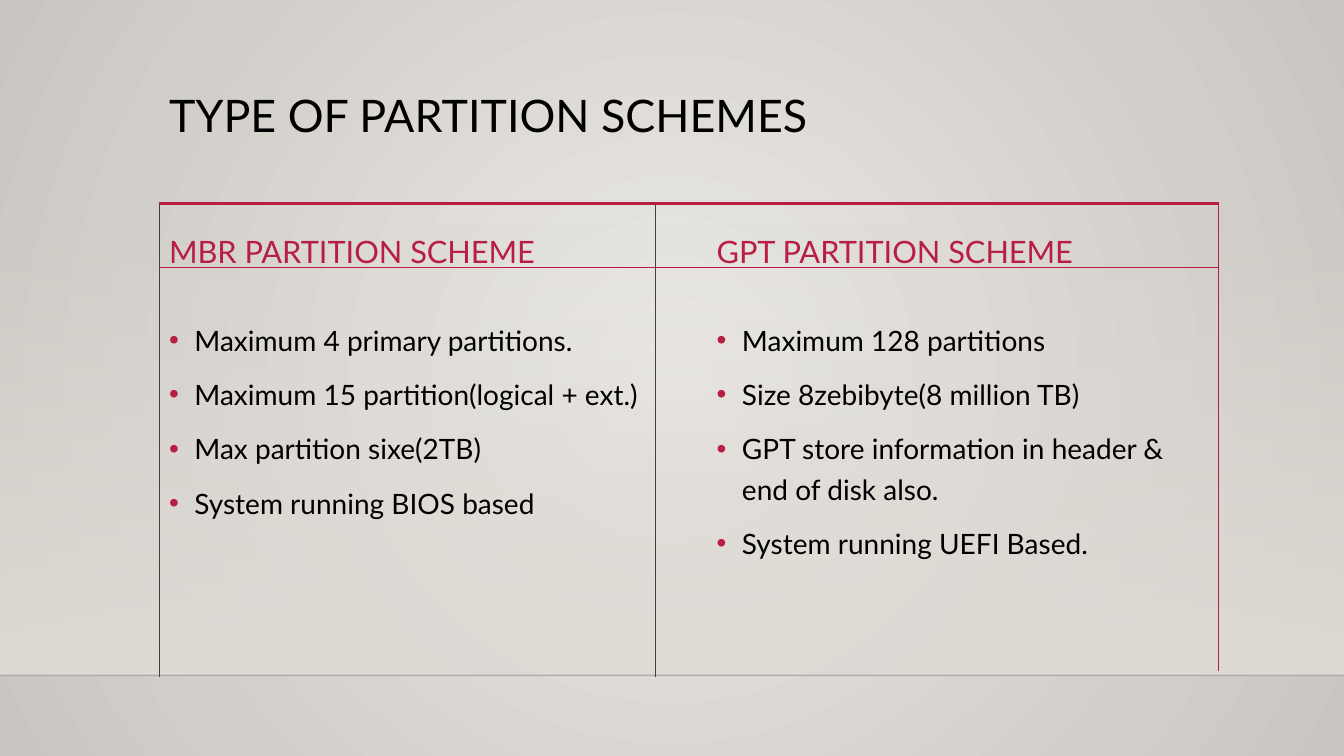
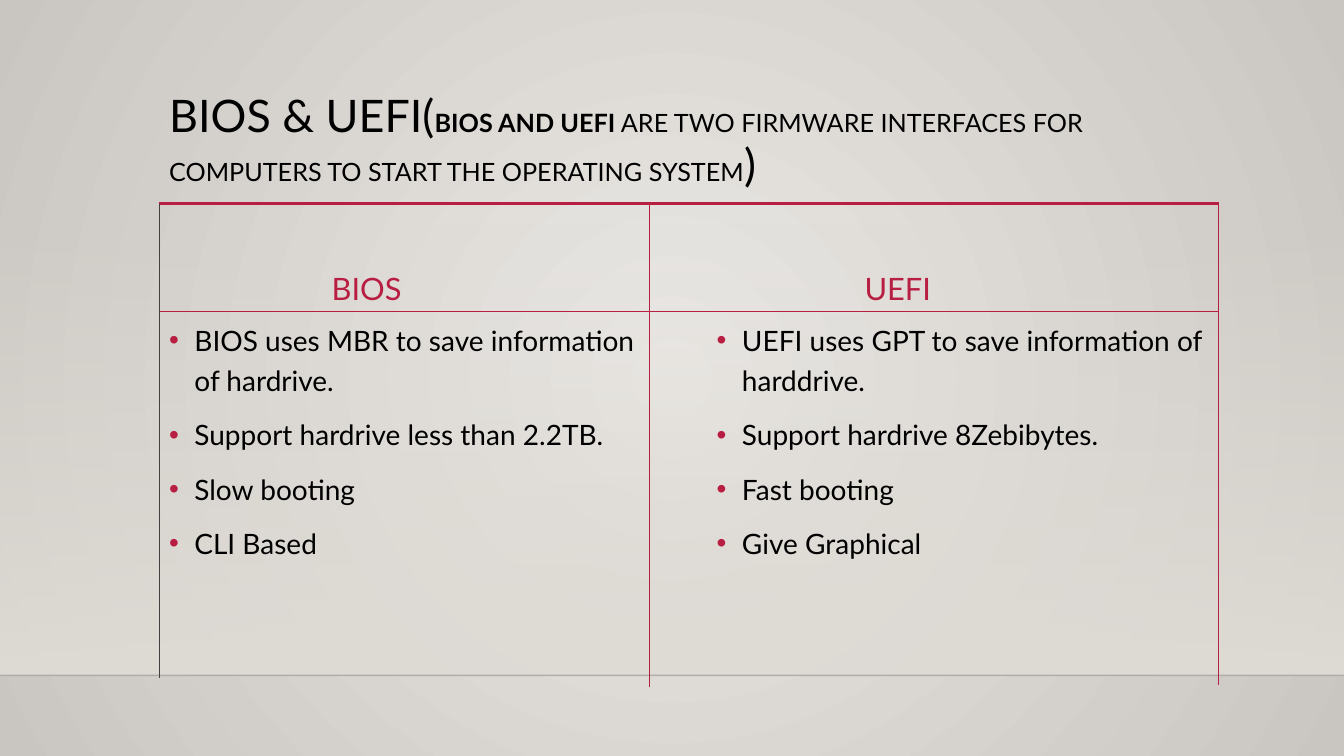
from lxml.etree import SubElement
from pptx import Presentation
from pptx.dml.color import RGBColor
from pptx.enum.shapes import MSO_CONNECTOR as CONNECTOR, MSO_SHAPE as SHAPE, PP_PLACEHOLDER as HOLDER
from pptx.enum.text import MSO_ANCHOR as ANCHOR, MSO_AUTO_SIZE as AUTO_SIZE, PP_ALIGN as ALIGN
from pptx.oxml.ns import qn
from pptx.util import Cm, Pt

FONT = "Lato"
BLACK = RGBColor(0x00, 0x00, 0x00)
CRIMSON = RGBColor(0xB7, 0x1E, 0x42)
CHARCOAL = RGBColor(0x40, 0x40, 0x40)
FLOOR_LINE = RGBColor(0x00, 0x00, 0x01)
PALE = RGBColor(0xEB, 0xE9, 0xE6)
STONE = RGBColor(0xC9, 0xC5, 0xC0)
SAND = RGBColor(0xDF, 0xDB, 0xD5)

PAGE_WIDTH, PAGE_HEIGHT = 33.87, 19.05
LEFT, RIGHT = 4.01, 30.71
TABLE_TOP = 5.15
FLOOR = 17.02
HEADING_TOP = 5.61
BODY_TOP, BODY_HEIGHT = 7.85, 7.34
COLUMN_WIDTH = 12.9
COLUMN_LEFTS = (LEFT, RIGHT - COLUMN_WIDTH)


def set_alpha(color_element, percent):
    SubElement(color_element, qn("a:alpha"), val=str(percent * 1000))


def fill_gradient(fill, colors):
    fill.gradient()
    for stop, color in zip(fill.gradient_stops, colors):
        stop.color.rgb = color


def add_line(page, start, end, color=CRIMSON, width=0.75):
    line = page.shapes.add_connector(CONNECTOR.STRAIGHT, *(Cm(v) for v in start + end))
    line.line.color.rgb = color
    line.line.width = Pt(width)
    SubElement(line.element.spPr, qn("a:effectLst"))
    return line


def add_span(para, text, size, color=BLACK, bold=False):
    span = para.add_run()
    span.text = text
    span.font.name = FONT
    span.font.size = Pt(size)
    span.font.bold = bold
    span.font.color.rgb = color


def add_box(page, left, top, height):
    box = page.shapes.add_textbox(Cm(left), Cm(top), Cm(COLUMN_WIDTH), Cm(height))
    box.text_frame.word_wrap = True
    return box.text_frame


def add_bullet(para):
    props = para._p.get_or_add_pPr()
    props.set("marL", str(Cm(0.64)))
    props.set("indent", str(-Cm(0.64)))
    SubElement(SubElement(props, qn("a:buClr")), qn("a:srgbClr"), val=str(CRIMSON))
    SubElement(props, qn("a:buFont"), typeface="Arial")
    SubElement(props, qn("a:buChar"), char="•")


def set_background(master):
    fill_gradient(master.background.fill, (PALE, STONE))
    gradient = master.element.find(".//" + qn("a:gradFill"))
    gradient.remove(gradient.find(qn("a:lin")))
    circle = SubElement(gradient, qn("a:path"), {"path": "circle"})
    SubElement(circle, qn("a:fillToRect"), dict.fromkeys("ltrb", "50000"))


def add_band(page):
    top = HEADING_TOP
    band = page.shapes.add_shape(SHAPE.RECTANGLE, 0, Cm(top), Cm(PAGE_WIDTH), Cm(FLOOR - top))
    band.shadow.inherit = False
    band.line.fill.background()
    fill_gradient(band.fill, (SAND, SAND))
    band.fill.gradient_angle = 270
    set_alpha(band.element.find(".//" + qn("a:srgbClr")), 0)
    return band


def furnish_layout(layout, page):
    for holder in list(layout.placeholders):
        if holder.placeholder_format.type != HOLDER.TITLE:
            holder.element.getparent().remove(holder.element)
    band = add_band(page)
    floor = add_line(page, (0, FLOOR), (PAGE_WIDTH, FLOOR), FLOOR_LINE, 1)
    set_alpha(floor.element.find(".//" + qn("a:srgbClr")), 20)
    rule = add_line(page, (LEFT, 5.13), (RIGHT, 5.13), width=2.5)
    for shape in (band, floor, rule):
        layout.shapes.element.append(shape.element)


def set_title(page, spans):
    title = page.shapes.title
    title.left, title.top, title.width, title.height = Cm(LEFT), Cm(2.24), Cm(RIGHT - LEFT), Cm(2.95)
    frame = title.text_frame
    frame.word_wrap = True
    frame.auto_size = AUTO_SIZE.NONE
    frame.vertical_anchor = ANCHOR.TOP
    para = frame.paragraphs[0]
    para.alignment = ALIGN.LEFT
    para.line_spacing = 0.9
    for text, size, bold in spans:
        add_span(para, text, size, bold=bold)


def add_heading(page, left, bottom, text, inset):
    frame = add_box(page, left, HEADING_TOP, bottom - HEADING_TOP)
    frame.vertical_anchor = ANCHOR.BOTTOM
    frame.margin_left = Cm(inset)
    add_span(frame.paragraphs[0], text, 22, CRIMSON)


def add_points(page, left, points):
    frame = add_box(page, left, BODY_TOP, BODY_HEIGHT)
    for index, text in enumerate(points):
        para = frame.add_paragraph() if index else frame.paragraphs[0]
        para.line_spacing = 1.2
        para.space_before = Pt(10 if index else 0)
        add_bullet(para)
        add_span(para, text, 20)


def add_comparison(page, title, heading_bottom, columns, rule_y, uprights):
    set_title(page, title)
    for left, (heading, inset, points) in zip(COLUMN_LEFTS, columns):
        add_heading(page, left, heading_bottom, heading, inset)
        add_points(page, left, points)
    add_line(page, (LEFT, rule_y), (RIGHT, rule_y))
    for x, bottom, color in uprights:
        add_line(page, (x, TABLE_TOP), (x, bottom), color)


def main():
    deck = Presentation()
    deck.slide_width, deck.slide_height = Cm(PAGE_WIDTH), Cm(PAGE_HEIGHT)
    layout = deck.slide_layouts.get_by_name("Title Only")
    set_background(deck.slide_master)
    schemes, firmware = (deck.slides.add_slide(layout) for _ in range(2))
    furnish_layout(layout, schemes)

    add_comparison(
        schemes,
        [("TYPE OF PARTITION SCHEMES", 32, False)],
        6.91,
        [
            ("MBR PARTITION SCHEME", 0.25, [
                "Maximum 4 primary partitions.",
                "Maximum 15 partition(logical + ext.)",
                "Max partition sixe(2TB)",
                "System running BIOS based",
            ]),
            ("GPT PARTITION SCHEME", 0.25, [
                "Maximum 128 partitions",
                "Size 8zebibyte(8 million TB)",
                "GPT store information in header & end of disk also.",
                "System running UEFI Based.",
            ]),
        ],
        6.73,
        [(LEFT, 17.07, CHARCOAL), (16.51, 17.07, CHARCOAL), (RIGHT, 16.92, CRIMSON)],
    )
    add_comparison(
        firmware,
        [
            ("BIOS & UEFI(", 32, False),
            ("BIOS AND UEFI", 18, True),
            (" ARE TWO FIRMWARE INTERFACES FOR COMPUTERS TO START THE OPERATING SYSTEM", 18, False),
            (")", 32, False),
        ],
        BODY_TOP,
        [
            ("BIOS", 4.35, [
                "BIOS uses MBR to save information of hardrive.",
                "Support hardrive less than 2.2TB.",
                "Slow booting",
                "CLI Based",
            ]),
            ("UEFI", 3.98, [
                "UEFI uses GPT to save information of harddrive.",
                "Support hardrive 8Zebibytes.",
                "Fast booting",
                "Give Graphical",
            ]),
        ],
        BODY_TOP,
        [(LEFT, 17.09, CHARCOAL), (16.38, 17.32, CRIMSON), (RIGHT, 17.27, CRIMSON)],
    )
    deck.save("out.pptx")


if __name__ == "__main__":
    main()
